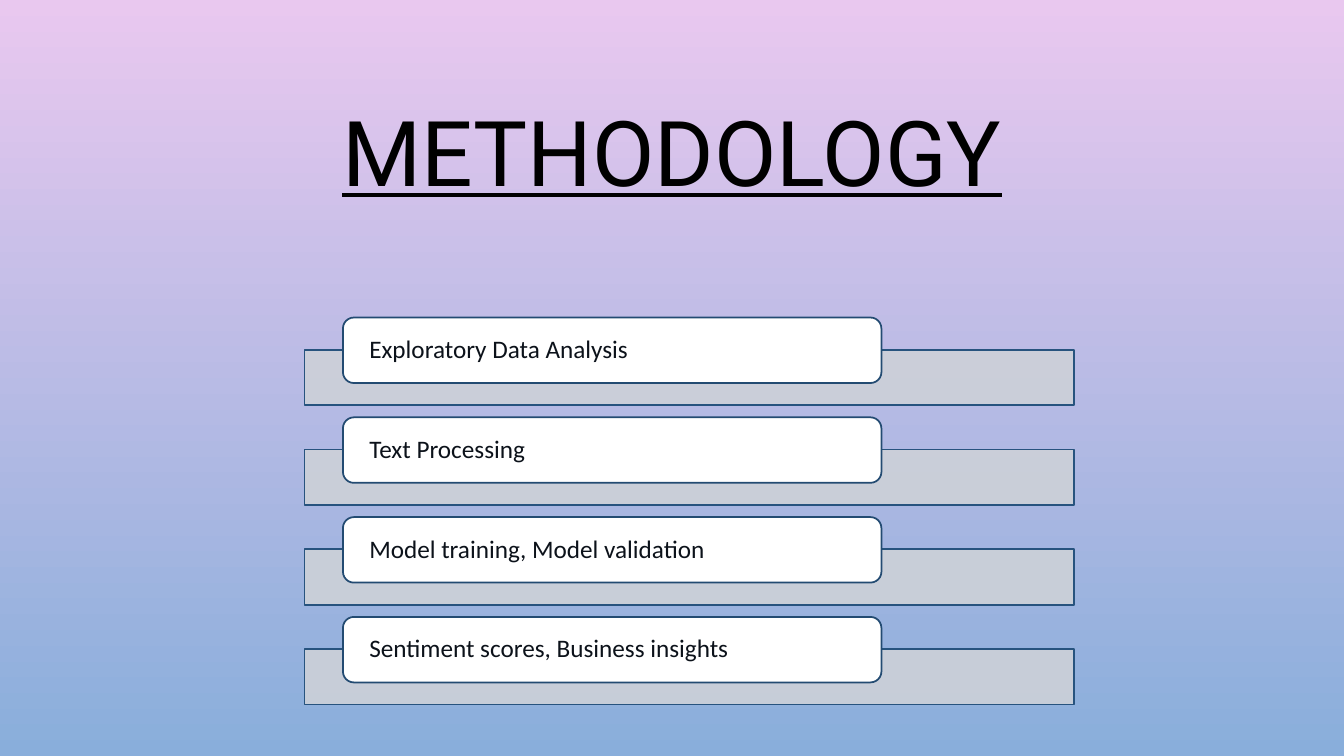
from lxml.etree import SubElement
from pptx import Presentation
from pptx.dml.color import RGBColor
from pptx.enum.shapes import MSO_SHAPE as Preset
from pptx.enum.text import MSO_ANCHOR as Anchor, MSO_AUTO_SIZE as AutoSize, PP_ALIGN as Align
from pptx.oxml.ns import qn
from pptx.util import Inches, Pt

PINK = RGBColor(0xE9, 0xC8, 0xEF)
BLUE = RGBColor(0x89, 0xAE, 0xDB)
BLACK = RGBColor(0, 0, 0)
WHITE = RGBColor(0xFF, 0xFF, 0xFF)
INK = RGBColor(0x0C, 0x12, 0x1A)
BAR_FILL = RGBColor(0xCD, 0xD1, 0xD8)
BAR_LINE = RGBColor(0x27, 0x53, 0x7E)
LABEL_LINE = RGBColor(0x23, 0x4B, 0x72)

TITLE_FONT = {"name": "Roboto", "size": Pt(64.8), "underline": True}
LABEL_FONT = {"name": "Calibri", "size": Pt(18)}
STEPS = [
    "Exploratory Data Analysis",
    "Text Processing",
    "Model training, Model validation",
    "Sentiment scores, Business insights",
]


def set_text(shape, text, align, font, color):
    """Write one vertically centred paragraph into a shape."""
    frame = shape.text_frame
    frame.text = text
    frame.word_wrap = True
    frame.auto_size = AutoSize.NONE
    frame.vertical_anchor = Anchor.MIDDLE
    paragraph = frame.paragraphs[0]
    paragraph.alignment = align
    paragraph.line_spacing = 0.9
    for name, value in font.items():
        setattr(paragraph.runs[0].font, name, value)
    paragraph.runs[0].font.color.rgb = color


def add_box(slide, preset, left, top, width, height, fill, line):
    """Add an outlined preset shape with a solid fill."""
    shape = slide.shapes.add_shape(
        preset, Inches(left), Inches(top), Inches(width), Inches(height))
    shape.shadow.inherit = False
    shape.fill.solid()
    shape.fill.fore_color.rgb = fill
    shape.line.color.rgb = line
    shape.line.width = Pt(1.25)
    return shape


def paint_background(slide):
    """Fill the slide with a gradient from top to bottom."""
    fill = slide.background.fill
    fill.gradient()
    fill.gradient_angle = 270
    for stop, color, position in zip(fill.gradient_stops, (PINK, BLUE), (0, 1)):
        stop.color.rgb = color
        stop.position = position


def add_title(slide, left, top, width, height):
    """Place the underlined title in the given box."""
    title = slide.shapes.title
    box = {"left": left, "top": top, "width": width, "height": height}
    for name, value in box.items():
        setattr(title, name, Inches(value))
    set_text(title, "METHODOLOGY", Align.CENTER, TITLE_FONT, BLACK)


def add_step(slide, text, left, top, width):
    """Draw a translucent bar with a rounded label over its upper edge."""
    bar = add_box(slide, Preset.RECTANGLE, left, top + 0.32, width, 0.55, BAR_FILL, BAR_LINE)
    color = bar.fill._xPr.find(qn("a:solidFill"))[0]
    SubElement(color, qn("a:alpha"), val="90000")
    label = add_box(slide, Preset.ROUNDED_RECTANGLE, left + width * 0.05, top,
                    width * 0.7, 0.65, WHITE, LABEL_LINE)
    insets = {"margin_left": 0.23, "margin_right": 0.23, "margin_top": 0, "margin_bottom": 0}
    for name, value in insets.items():
        setattr(label.text_frame, name, Inches(value))
    set_text(label, text, Align.LEFT, LABEL_FONT, INK)


def add_steps(slide, left, top, width, pitch):
    """Stack the steps at an equal pitch."""
    for index, text in enumerate(STEPS):
        add_step(slide, text, left, top + index * pitch, width)


def main():
    """Build and save the methodology slide."""
    presentation = Presentation()
    presentation.slide_width = Inches(13.33)
    presentation.slide_height = Inches(7.5)
    slide = presentation.slides.add_slide(presentation.slide_layouts[5])
    paint_background(slide)
    add_title(slide, 1, 0.68, 11.33, 1.75)
    add_steps(slide, 3.02, 3.15, 7.63, 0.99)
    presentation.save("out.pptx")


if __name__ == "__main__":
    main()
